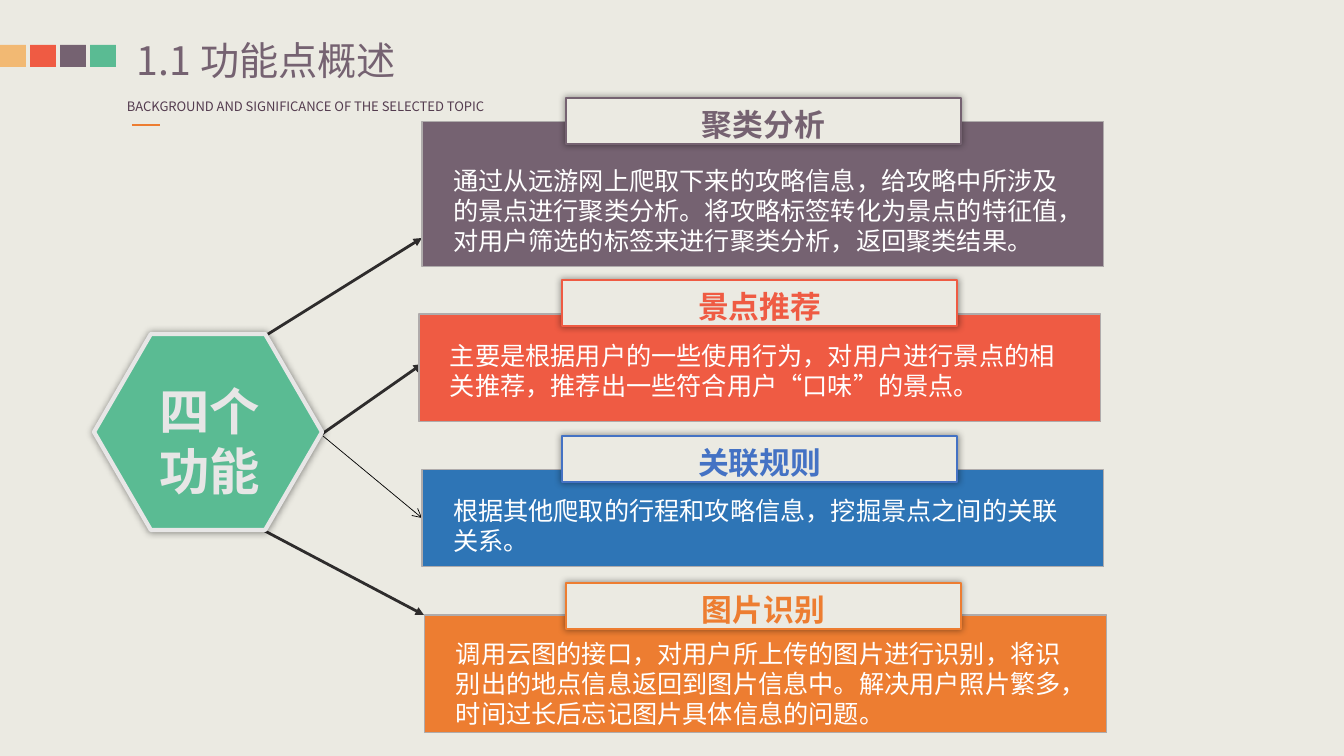
"""Build the slide that outlines the four functions of a travel guide system."""
from lxml import etree
from pptx import Presentation
from pptx import util as u
from pptx.dml.color import RGBColor
from pptx.enum import shapes, text
from pptx.oxml import ns

PX = 12192000 / 1344
FONT = "Noto Sans CJK SC"
CREAM = RGBColor(0xEB, 0xEA, 0xE2)
PLUM = RGBColor(0x75, 0x62, 0x71)
DARK_PLUM = RGBColor(0x54, 0x3C, 0x4F)
RED = RGBColor(0xEF, 0x5B, 0x43)
GREEN = RGBColor(0x5A, 0xBB, 0x93)
SAND = RGBColor(0xF2, 0xB9, 0x73)
ORANGE = RGBColor(0xED, 0x7D, 0x31)
BLUE = RGBColor(0x2E, 0x75, 0xB6)
ROYAL = RGBColor(0x44, 0x72, 0xC4)
GREY = RGBColor(0xAF, 0xAB, 0xAB)
SILVER = RGBColor(0xE7, 0xE6, 0xE6)
INK = RGBColor(0x2E, 0x2C, 0x2C)
BLACK = RGBColor(0, 0, 0)
WHITE = RGBColor(0xFF, 0xFF, 0xFF)

deck = Presentation()
deck.slide_width, deck.slide_height = u.Emu(12192000), u.Emu(6858000)
page = deck.slides.add_slide(deck.slide_layouts[6])
page.background.fill.solid()
page.background.fill.fore_color.rgb = CREAM


def write(words, *, at, size, color, bold=False, align=None, wrap=True, inset=(10, 5)):
    box = page.shapes.add_textbox(*(u.Emu(round(n * PX)) for n in at))
    frame = box.text_frame
    frame.word_wrap = wrap
    frame.margin_left = frame.margin_right = u.Emu(round(inset[0] * PX))
    frame.margin_top = u.Emu(round((inset[1] + 0.15 * size) * PX))
    frame.margin_bottom = u.Emu(round(inset[1] * PX))
    for i, line in enumerate(words.split("\n")):
        para = frame.paragraphs[0] if i == 0 else frame.add_paragraph()
        para.alignment = align
        para.line_spacing = u.Pt(round(size * 1.19, 1))
        span = para.add_run()
        span.text = line
        span.font.name = FONT
        span.font.size = u.Pt(size)
        span.font.bold = bold
        span.font.color.rgb = color
        east = etree.SubElement(span.font._element, ns.qn("a:ea"))
        east.set("typeface", FONT)


def draw(kind, *, at, fill, line=None, width=0, glow=False):
    shape = page.shapes.add_shape(kind, *(u.Emu(round(n * PX)) for n in at))
    shape.fill.solid()
    shape.fill.fore_color.rgb = fill
    if line is None:
        shape.line.fill.background()
    else:
        shape.line.color.rgb = line
        shape.line.width = u.Pt(width)
    shape.shadow.inherit = False
    if glow:
        effects = shape._element.spPr.find(ns.qn("a:effectLst"))
        outer = etree.SubElement(effects, ns.qn("a:outerShdw"), blurRad=str(u.Pt(5)), dist="0", dir="0")
        tone = etree.SubElement(outer, ns.qn("a:srgbClr"), val="000000")
        etree.SubElement(tone, ns.qn("a:alpha"), val="40000")
    return shape


RECT = shapes.MSO_SHAPE.RECTANGLE
CENTER = text.PP_ALIGN.CENTER

for i, color in enumerate((SAND, RED, PLUM, GREEN)):
    draw(RECT, at=(30 * i, 45, 26, 22), fill=color)
write("1.1 功能点概述", at=(137, 33, 402, 47), size=28, color=PLUM, inset=(0, 0))
write("BACKGROUND AND SIGNIFICANCE OF THE SELECTED TOPIC",
      at=(117, 92, 410, 26), size=9.3, color=DARK_PLUM, wrap=False)

links = [
    ((132, 125), (160, 125), ORANGE, 1.5, None),
    ((265, 336), (422, 238), INK, 0, "triangle"),
    ((322, 434), (422, 364), INK, 0, "triangle"),
    ((323, 436), (422, 518), BLACK, 0.5, "arrow"),
    ((263, 530), (424, 615), INK, 0, "triangle"),
]
for start, end, color, width, tip in links:
    link = page.shapes.add_connector(
        shapes.MSO_CONNECTOR.STRAIGHT, *(u.Emu(round(n * PX)) for n in start + end))
    link.line.color.rgb = color
    link.line.width = u.Pt(width)
    props = link._element.spPr
    if tip:
        etree.SubElement(props.find(ns.qn("a:ln")), ns.qn("a:tailEnd"), type=tip)
    etree.SubElement(props, ns.qn("a:effectLst"))

hexagon = draw(shapes.MSO_SHAPE.HEXAGON, at=(94, 334, 228, 196), fill=GREEN, line=SILVER, width=3, glow=True)
hexagon.adjustments[0] = 0.29
write("四个功能", at=(127, 370, 165, 132), size=36, color=SILVER, bold=True, align=CENTER)

cards = [
    ("聚类分析", PLUM, PLUM, (422, 122, 145), (158, 128), (566, 98),
     "通过从去远游网上爬取下来的攻略信息，给攻略中所涉及的景点进行聚类分析。将攻略标签转化为景点的特征值，\n"
     "对用户筛选的标签来进行聚类分析，返回聚类结果。".replace("从去远游网", "从远游网")),
    ("景点推荐", RED, RED, (419, 314, 108), (333, 83), (562, 280),
     "主要是根据用户的一些使用行为，对用户进行景点的相关推荐，推荐出一些符合用户“口味”的景点。"),
    ("关联规则", BLUE, ROYAL, (422, 470, 97), (488, 58), (562, 436),
     "根据其他爬取的行程和攻略信息，挖掘景点之间的关联关系。"),
    ("图片识别", ORANGE, ORANGE, (425, 615, 118), (631, 102), (566, 583),
     "调用云图的接口，对用户所上传的图片进行识别，将识别出的地点信息返回到图片信息中。"
     "解决用户照片繁多，时间过长后忘记图片具体信息的问题。"),
]
for title, fill, accent, (left, top, height), (body_top, body_height), (tab_left, tab_top), body in cards:
    draw(RECT, at=(left, top, 682, height), fill=fill, line=GREY)
    write(body, at=(left + 21, body_top, 635, body_height), size=18, color=WHITE)
    draw(RECT, at=(tab_left, tab_top, 395, 46), fill=CREAM, line=accent, width=1.5, glow=True)
    write(title, at=(tab_left + 26, tab_top, 343, 47), size=22, color=accent, bold=True, align=CENTER)

deck.save("out.pptx")
